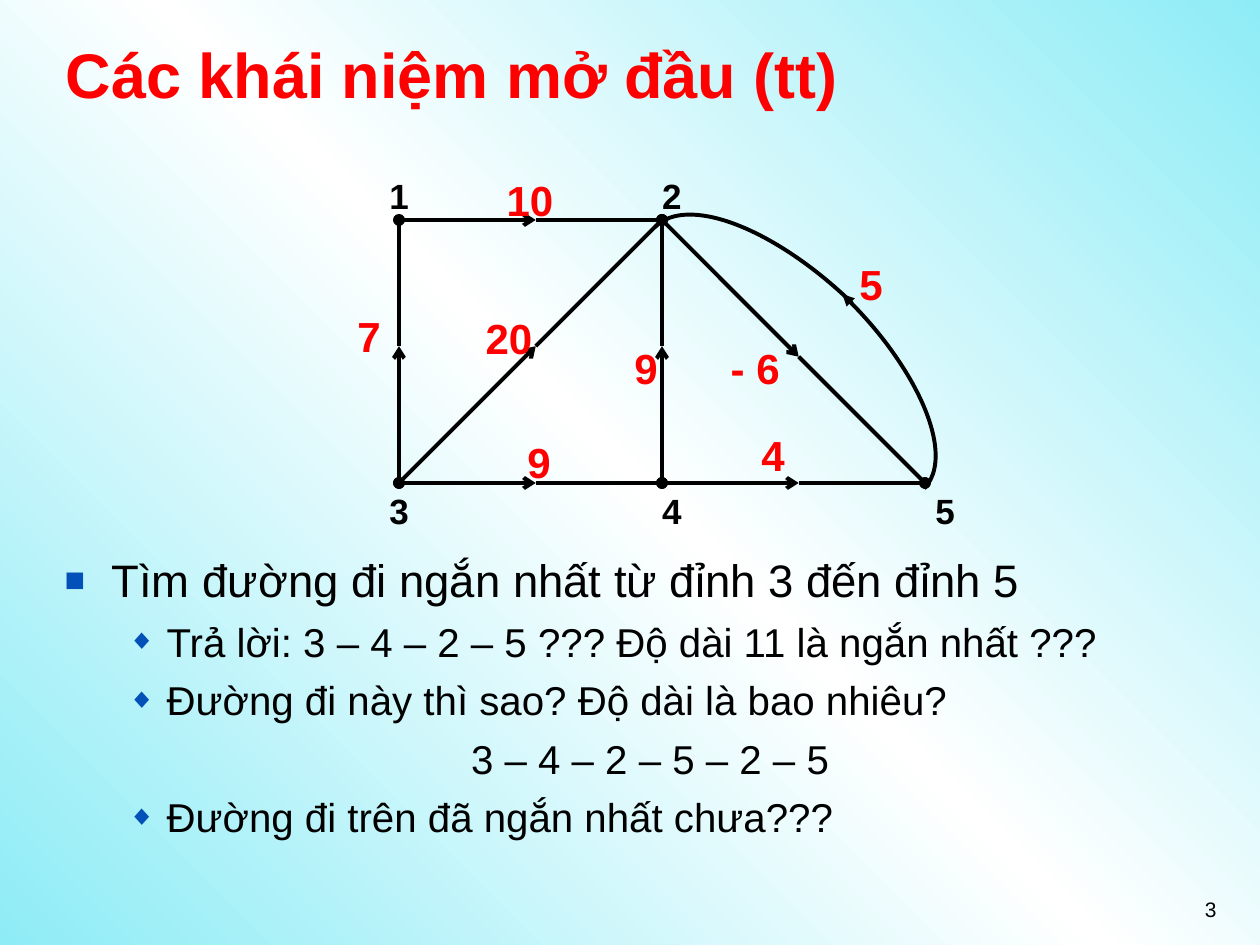
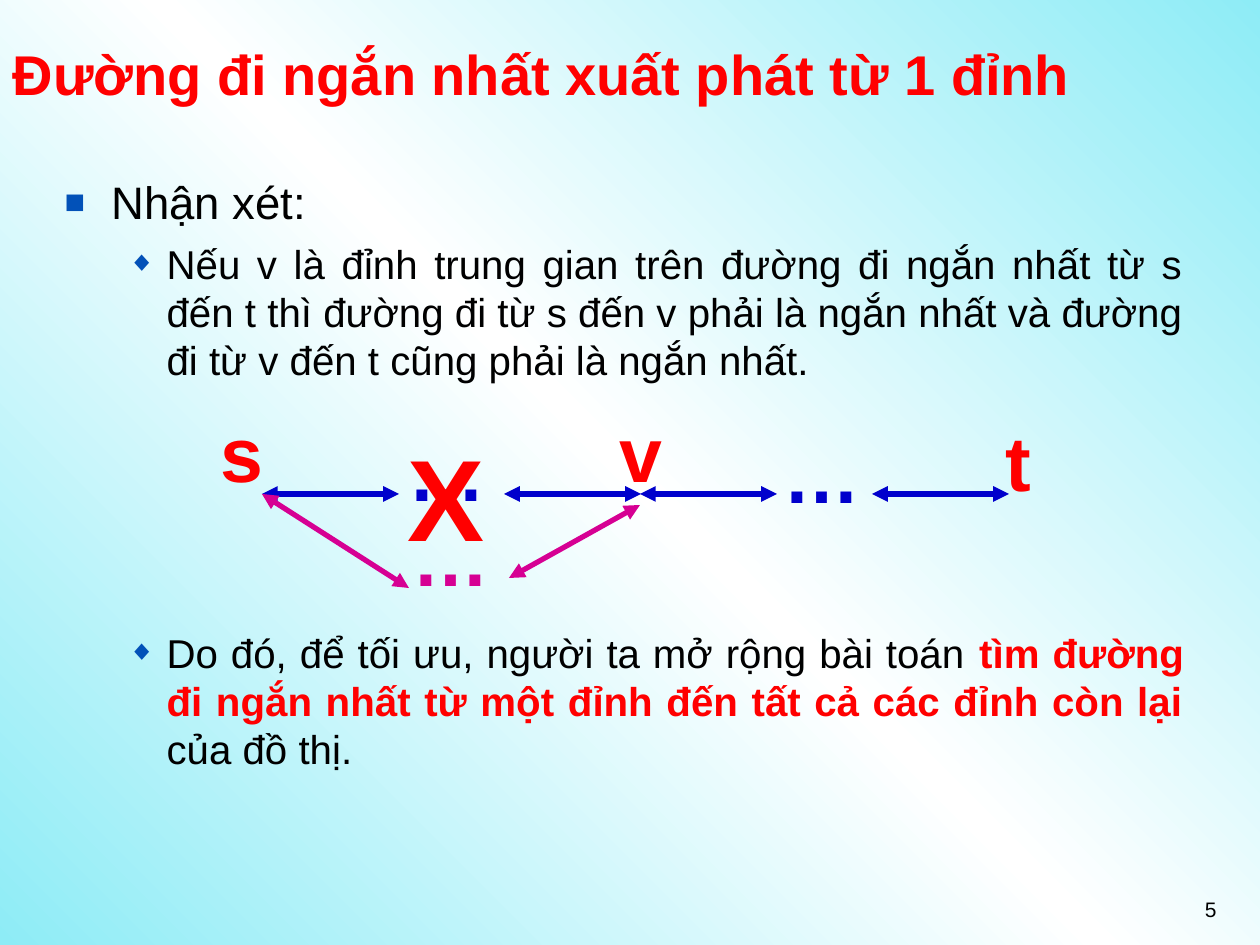
from pptx import Presentation
from pptx.dml.color import RGBColor
from pptx.enum.shapes import MSO_CONNECTOR, MSO_SHAPE
from pptx.enum.text import MSO_ANCHOR, MSO_AUTO_SIZE, PP_ALIGN as AL
from pptx.oxml.ns import qn
from pptx.util import Emu, Pt
from lxml.etree import SubElement
from copy import deepcopy

PX = 914400 / 126
FONT = "Arial"
RED = RGBColor(0xFF, 0x00, 0x00)
BLACK = RGBColor(0x00, 0x00, 0x00)
WHITE = RGBColor(0xFF, 0xFF, 0xFF)
AQUA = RGBColor(0x8E, 0xEC, 0xF6)
BULLET_BLUE = RGBColor(0x02, 0x51, 0xB8)
BLUE = RGBColor(0x00, 0x00, 0xCC)
MAGENTA = RGBColor(0xD6, 0x00, 0x93)

# level: bullet, bullet size %, left margin px, hanging indent px, text size, space before
LEVELS = [("■", 75, 47, 47, 26, 6.5), ("◆", 70, 102, 39, 23, 5.8)]


def px(n):
    return Emu(round(n * PX))


def place(s, x, y, w, h):
    s.left, s.top, s.width, s.height = px(x), px(y), px(w), px(h)


def write(p, text, size=24, color=BLACK, bold=False, align=None):
    """Append a formatted run to paragraph p."""
    r = p.add_run()
    r.text = text
    f = r.font
    f.name, f.size, f.bold, f.color.rgb = FONT, Pt(size), bold, color
    if align is not None:
        p.alignment = align


def add_label(slide, text, x, y, w, h, align=AL.CENTER, **fmt):
    tf = slide.shapes.add_textbox(px(x), px(y), px(w), px(h)).text_frame
    tf.word_wrap = True
    write(tf.paragraphs[0], text, align=align, **fmt)


def style_line(s, color, width, head=None, tail=None):
    """Colour a line, set its two ends and remove its shadow."""
    s.line.color.rgb = color
    s.line.width = Pt(width)
    spPr = s.element.spPr
    ln = spPr.find(qn("a:ln"))
    for tag, kind in (("a:headEnd", head), ("a:tailEnd", tail)):
        if kind:
            SubElement(ln, qn(tag), type=kind)
    SubElement(spPr, qn("a:effectLst"))


def add_line(slide, a, b, color=BLACK, width=2.25, **ends):
    s = slide.shapes.add_connector(MSO_CONNECTOR.STRAIGHT, px(a[0]), px(a[1]),
                                   px(b[0]), px(b[1]))
    style_line(s, color, width, **ends)


def add_arc(slide, x, y, w, h, rotation, head=None):
    s = slide.shapes.add_shape(MSO_SHAPE.ARC, px(x), px(y), px(w), px(h))
    s.rotation = rotation
    s.fill.background()
    style_line(s, BLACK, 2.25, head=head)


def set_bullet(p, level, shown):
    char, percent, margin, hang, _, before = LEVELS[level]
    p.level = level
    p.space_before = Pt(before)
    pPr = p._p.get_or_add_pPr()
    pPr.set("marL", str(px(margin)))
    pPr.set("indent", str(-px(hang)))
    if not shown:
        SubElement(pPr, qn("a:buNone"))
        return
    SubElement(SubElement(pPr, qn("a:buClr")), qn("a:srgbClr"), val=str(BULLET_BLUE))
    SubElement(pPr, qn("a:buSzPct"), val=str(percent * 1000))
    SubElement(pPr, qn("a:buFont"), typeface=FONT)
    SubElement(pPr, qn("a:buChar"), char=char)


def fill_body(slide, box, items):
    """Each item is a level, its runs, and optionally alignment and space before."""
    body = slide.placeholders[1]
    place(body, *box)
    tf = body.text_frame
    tf.auto_size = MSO_AUTO_SIZE.NONE
    for i, (level, runs, *options) in enumerate(items):
        align, before = options or (AL.JUSTIFY, None)
        p = tf.add_paragraph() if i else tf.paragraphs[0]
        set_bullet(p, level, shown=align == AL.JUSTIFY)
        if before:
            p.space_before = Pt(before)
        for text, fmt in runs:
            write(p, text, size=LEVELS[level][4], align=align, **fmt)


def add_slide(prs, title, number, x=53, size=36):
    slide = prs.slides.add_slide(prs.slide_layouts[1])
    s = slide.shapes.title
    place(s, x, 21, 1144, 105)
    s.text_frame.vertical_anchor = MSO_ANCHOR.MIDDLE
    s.text_frame.auto_size = MSO_AUTO_SIZE.NONE
    write(s.text_frame.paragraphs[0], title, size=size, color=RED, bold=True,
          align=AL.LEFT)
    add_label(slide, number, 935, 890, 294, 65, align=AL.RIGHT, size=12)
    return slide


def set_background(master):
    fill = master.background.fill
    fill.gradient()
    fill.gradient_angle = 45
    first, last = fill.gradient_stops
    first.color.rgb, first.position = AQUA, 0
    last.color.rgb, last.position = WHITE, 0.5
    stops = master.element.find(".//" + qn("p:bg")).find(".//" + qn("a:gsLst"))
    end = deepcopy(stops[0])
    end.set("pos", "100000")
    stops.append(end)


def draw_graph(slide, left, top, step):
    """Weighted directed graph; left, top is vertex 1 and step the grid pitch."""
    cells = {1: (0, 0), 2: (1, 0), 3: (0, 1), 4: (1, 1), 5: (2, 1)}
    vertices = {n: (left + c * step, top + r * step) for n, (c, r) in cells.items()}
    edges = [(1, 2), (3, 4), (3, 1), (4, 5), (4, 2), (3, 2), (2, 5)]
    for start, end in edges:
        a, b = vertices[start], vertices[end]
        mid = tuple(u + 0.52 * (v - u) for u, v in zip(a, b))
        add_line(slide, a, mid, head="oval", tail="arrow")
        add_line(slide, mid, b, tail="oval")

    add_arc(slide, left + 313, top - 52, 165, 388, 314.1)
    add_arc(slide, left + 192, top + 51, 388, 165, 44.1, head="triangle")

    for n, (c, r) in cells.items():
        add_label(slide, str(n), left - 84 + c * 273, top - 52 + r * 315, 168, 55,
                  size=20, bold=True)
    weights = [("20", 52, 86), ("10", 73, -52), ("7", -88, 84), ("9", 189, 116),
               ("9", 82, 210), ("- 6 ", 304, 116), ("4 ", 322, 203), ("5 ", 420, 32)]
    for text, x, y in weights:
        add_label(slide, text, left + x, top + y, 116, 63, color=RED, bold=True)


def draw_path(slide, left, top):
    """Path s – v – t with a crossed-out part and a detour; left, top is the end at s."""
    for x in (0, 242, 378, 610):
        add_line(slide, (left + x, top), (left + x + 137, top), BLUE, 3,
                 head="triangle", tail="triangle")

    def mark(text, x, y, color):
        add_label(slide, text, left + x, top + y, 105, 106, size=44, color=color,
                  bold=True)

    mark("…", 132, -76, BLUE)
    mark("…", 508, -74, BLUE)
    for name, x, y in (("s", -73, -95), ("v", 326, -95), ("t", 704, -86)):
        mark(name, x, y, RED)
    for a, b in (((0, 0), (147, 94)), ((247, 84), (378, 11))):
        add_line(slide, (left + a[0], top + a[1]), (left + b[0], top + b[1]),
                 MAGENTA, 3, head="triangle", tail="triangle")
    mark("…", 137, 9, MAGENTA)
    add_label(slide, "X", left + 84, top - 74, 200, 151, size=66, color=RED, bold=True)


def intro_slide(prs):
    slide = add_slide(prs, "Các khái niệm mở đầu (tt)", "3")
    fill_body(slide, (52, 546, 1145, 336), [
        (0, [("Tìm đường đi ngắn nhất từ đỉnh 3 đến đỉnh 5", {})]),
        (1, [("Trả lời: 3 – 4 – 2 – 5 ??? Độ dài 11 là ngắn nhất ???", {})]),
        (1, [("Đường đi này thì sao? Độ dài là bao nhiêu?", {})]),
        (1, [("3 – 4 – 2 – 5 – 2 – 5 ", {})], AL.CENTER, None),
        (1, [("Đường đi trên đã ngắn nhất chưa???", {})]),
    ])
    draw_graph(slide, 399, 220, 263)


def single_source_slide(prs):
    slide = add_slide(prs, "Đường đi ngắn nhất xuất phát từ 1 đỉnh", "5", x=0, size=32)
    fill_body(slide, (52, 168, 1145, 655), [
        (0, [("Nhận xét:", {})]),
        (1, [("Nếu v là đỉnh trung gian trên đường đi ngắn nhất từ s đến t thì "
              "đường đi từ s đến v phải là ngắn nhất và đường đi từ v đến t cũng "
              "phải là ngắn nhất.", {})]),
        (1, [("Do đó, để tối ưu, người ta mở rộng bài toán ", {}),
             ("tìm đường đi ngắn nhất từ một đỉnh đến tất cả các đỉnh còn lại",
              {"color": RED, "bold": True}),
             (" của đồ thị.", {})], AL.JUSTIFY, 139.4),
    ])
    draw_path(slide, 262, 494)


def main():
    prs = Presentation()
    prs.slide_width, prs.slide_height = px(1260), px(945)
    set_background(prs.slide_master)
    intro_slide(prs)
    single_source_slide(prs)
    prs.save("out.pptx")


if __name__ == "__main__":
    main()
